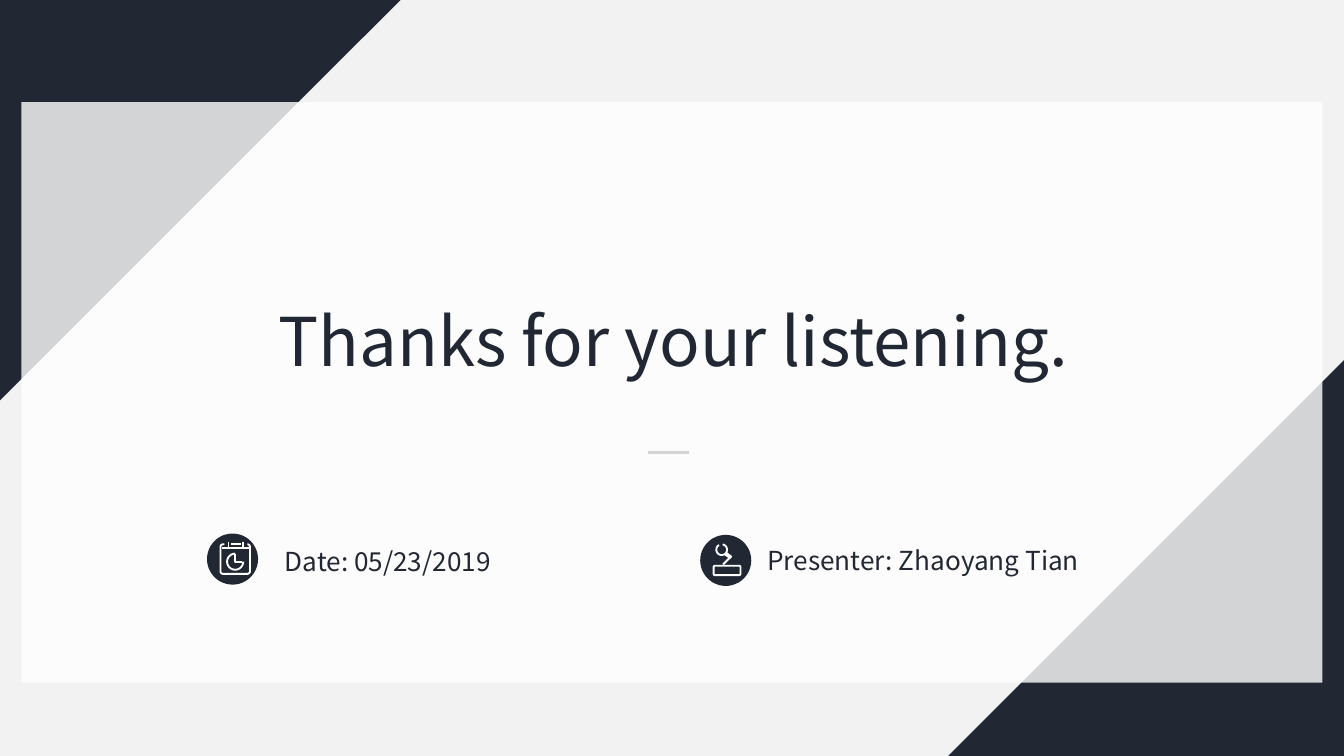
import math
import pptx
import pptx.util
import pptx.dml.color
import pptx.enum.shapes
import pptx.enum.text
import pptx.oxml
import pptx.oxml.ns
import lxml.etree

Inches = pptx.util.Inches
Kind = pptx.enum.shapes.MSO_SHAPE
Align = pptx.enum.text.PP_ALIGN

FONT = "Noto Sans CJK SC"
COLORS = {"back": "F2F2F2", "dark": "212834", "white": "FFFFFF"}


def arc(x, y, radius, start, end, step=10):
    angles = [math.radians(a) for a in range(start, end + step, step)]
    return [(x + radius * math.cos(a), y + radius * math.sin(a)) for a in angles]


def bend(left, top, right, low, radius):
    spots = [(right - radius, top + radius), (right - radius, low - radius),
             (left + radius, low - radius), (left + radius, top + radius)]
    return [p for i, (x, y) in enumerate(spots)
            for p in arc(x, y, radius, 90 * i - 90, 90 * i)]


CORNERS = [((7.03, 2.64), 270), ((-0.03, 0), 90)]
SIDE = 3.01
PANEL = (0.16, 0.76, 9.68, 4.32)
RULE = [(4.82, 3.37), (5.13, 3.37)]
BADGES = [(1.54, 3.97), (5.21, 3.98)]
BADGE = 0.38

TEXTS = [
    ("Thanks for your listening.", (0.09, 2.18, 9.84, 0.7), 36, Align.CENTER),
    ("Date: 05/23/2019", (2.02, 4.01, 2.27, 0.34), 14, Align.LEFT),
    ("Presenter: Zhaoyang Tian", (5.61, 4, 2.72, 0.34), 14, Align.LEFT),
]

FRAME = [(1.84, 4.05)] + bend(1.64, 4.05, 1.86, 4.27, 0.02) + [(1.67, 4.05)]
BASE = bend(5.31, 4.21, 5.51, 4.28, 0.01)
BASE.append(BASE[0])
ICONS = [
    ([FRAME, [(1.72, 4.05), (1.79, 4.05)]], 1),
    ([[(1.7, 4.03), (1.7, 4.07)], [(1.81, 4.03), (1.81, 4.07)]], 1),
    ([[(1.65, 4.08), (1.86, 4.08)], arc(1.75, 4.18, 0.06, 0, 270)], 1),
    ([[(1.75, 4.12), (1.75, 4.18), (1.8, 4.18)]], 1),
    ([[(5.4, 4.12), (5.44, 4.15)]], 2),
    ([[(5.44, 4.14), (5.38, 4.2)], arc(5.37, 4.09, 0.04, -80, 240)], 1),
    ([BASE], 1),
]


def color(name):
    return pptx.dml.color.RGBColor.from_string(COLORS[name])


def shape(kind, box, fill="dark", alpha=None, turn=0):
    item = slide.shapes.add_shape(kind, *map(Inches, box))
    item.shadow.inherit = False
    item.rotation = turn
    item.line.fill.background()
    item.fill.solid()
    item.fill.fore_color.rgb = color(fill)
    if alpha:
        tint = item.fill._xPr.find(".//" + pptx.oxml.ns.qn("a:srgbClr"))
        node = lxml.etree.SubElement(tint, pptx.oxml.ns.qn("a:alpha"))
        node.set("val", str(alpha * 1000))


def pen(item, name, width):
    item.line.color.rgb = color(name)
    item.line.width = pptx.util.Pt(width)


def link(ends, name, width):
    (left, top), (right, low) = ends
    item = slide.shapes.add_connector(
        pptx.enum.shapes.MSO_CONNECTOR.STRAIGHT,
        *map(Inches, (left, top, right, low)))
    pen(item, name, width)
    lxml.etree.SubElement(item._element.spPr, pptx.oxml.ns.qn("a:effectLst"))


def trace(strokes, width):
    build = None
    for stroke in strokes:
        first, *rest = [tuple(map(Inches, p)) for p in stroke]
        if build is None:
            build = slide.shapes.build_freeform(*first)
        else:
            build.move_to(*first)
        build.add_line_segments(rest, close=False)
    item = build.convert_to_shape()
    item.shadow.inherit = False
    item.fill.background()
    pen(item, "white", width)


def text(words, box, size=14, align=Align.LEFT, ink="dark"):
    frame = slide.shapes.add_textbox(*map(Inches, box)).text_frame
    frame.word_wrap = True
    frame.auto_size = pptx.enum.text.MSO_AUTO_SIZE.SHAPE_TO_FIT_TEXT
    line = frame.paragraphs[0]
    line.alignment = align
    run = line.add_run()
    run.text = words
    run.font.name = FONT
    run.font.size = pptx.util.Pt(size)
    run.font.color.rgb = color(ink)
    face = lxml.etree.SubElement(run.font._element, pptx.oxml.ns.qn("a:ea"))
    face.set("typeface", FONT)


deck = pptx.Presentation()
deck.slide_width = Inches(10)
deck.slide_height = deck.slide_width * 9 // 16
slide = deck.slides.add_slide(deck.slide_layouts[6])
slide.background.fill.solid()
slide.background.fill.fore_color.rgb = color("back")

for spot, turn in CORNERS:
    shape(Kind.RIGHT_TRIANGLE, (*spot, SIDE, SIDE), turn=turn)
link(RULE, "dark", 1.5)
shape(Kind.RECTANGLE, PANEL, "white", alpha=80)
for spot in BADGES:
    shape(Kind.OVAL, (*spot, BADGE, BADGE))
for words, box, size, align in TEXTS:
    text(words, box, size=size, align=align)
for strokes, width in ICONS:
    trace(strokes, width)

deck.save("out.pptx")
